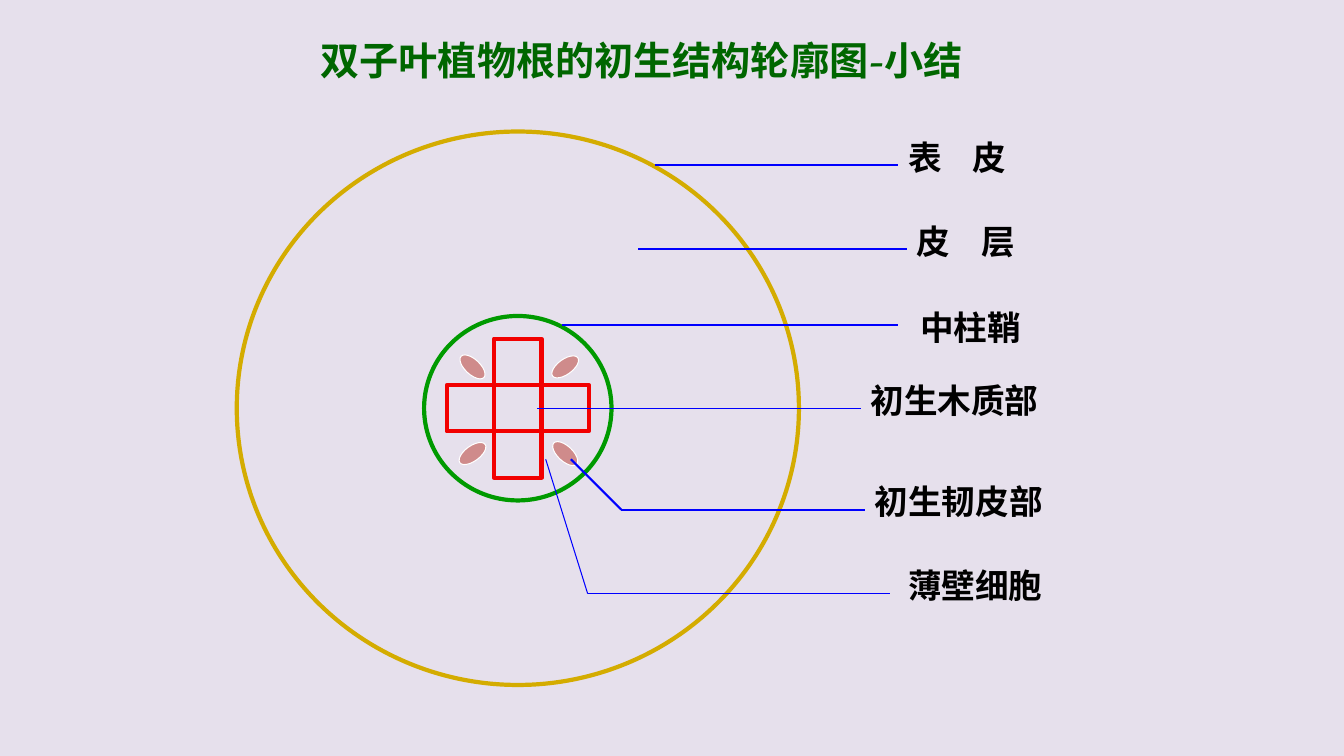
from itertools import pairwise

from lxml import etree
from pptx import Presentation
from pptx.dml.color import RGBColor
from pptx.enum.shapes import MSO_CONNECTOR, MSO_SHAPE
from pptx.enum.text import MSO_ANCHOR, PP_ALIGN
from pptx.oxml.ns import qn
from pptx.util import Inches, Pt

STRAIGHT = MSO_CONNECTOR.STRAIGHT
OVAL, RECTANGLE = MSO_SHAPE.OVAL, MSO_SHAPE.RECTANGLE
CENTER, LEFT = PP_ALIGN.CENTER, PP_ALIGN.LEFT
TOP, MIDDLE = MSO_ANCHOR.TOP, MSO_ANCHOR.MIDDLE

WIDTH, HEIGHT = 13.34, 7.5
BACKGROUND, BLACK, WHITE = "E6E0EC", "000000", "FFFFFF"
TITLE_GREEN, EPIDERMIS_GOLD, PERICYCLE_GREEN = "006600", "D4AC00", "009A00"
XYLEM_RED, PHLOEM_PINK, LEADER_BLUE = "F20000", "CF8B8B", "0000FF"

TITLE = "双子叶植物根的初生结构轮廓图-小结"

GRID = 1 / 12
FIRST_ROW = 1.64
LABEL_RISE = 4
LABELS = [
    {"text": "表\t皮", "column": 107, "width": 23, "points": [(78, 0), (107, 0)], "weight": 1.5},
    {"text": "皮\t层", "column": 108, "width": 23, "points": [(76, 10), (108, 10)], "weight": 1.5},
    {"text": "中柱鞘", "column": 108.4, "width": 22, "points": [(67, 19), (107, 19)],
     "weight": 1.5, "rise": 2.7},
    {"text": "初生木质部", "column": 102.5, "width": 30.5, "points": [(64, 29), (102.5, 29)],
     "weight": 0.75},
    {"text": "初生韧皮部", "column": 103, "width": 33, "points": [(68, 35), (74, 41), (103, 41)],
     "weight": 1.5},
    {"text": "薄壁细胞", "column": 107, "width": 24, "points": [(65, 35), (70, 51), (106, 51)],
     "weight": 0.75},
]
LABEL_HEIGHT = 6
LABEL_TAB = 0.64

ROOT_X, ROOT_Y = 5.14, 4.05
RINGS = [(5.58, 5.49, EPIDERMIS_GOLD), (1.86, 1.83, PERICYCLE_GREEN)]
CELL_WIDTH, CELL_HEIGHT = 0.47, 0.46
XYLEM_ARMS = [(-1, 0), (1, 0), (0, -1), (0, 1)]
PHLOEM_WIDTH, PHLOEM_HEIGHT = 0.15, 0.31
PHLOEM_REACH_X, PHLOEM_REACH_Y = 0.46, 0.43
PHLOEM_CORNERS = [(1, 1), (-1, 1), (1, -1), (-1, -1)]


def color(value):
    return RGBColor.from_string(value)


def add_text(slide, text, left, top, width, height, *, size, font, fill,
             align=LEFT, anchor=TOP, margins=(0.1, 0.05), tab=None, shadow=False):
    box = slide.shapes.add_textbox(Inches(left), Inches(top), Inches(width), Inches(height))
    frame = box.text_frame
    frame.word_wrap = True
    frame.vertical_anchor = anchor
    frame.margin_left = frame.margin_right = Inches(margins[0])
    frame.margin_top = frame.margin_bottom = Inches(margins[1])
    paragraph = frame.paragraphs[0]
    paragraph.alignment = align
    if tab:
        tabs = etree.SubElement(paragraph._p.get_or_add_pPr(), qn("a:tabLst"))
        etree.SubElement(tabs, qn("a:tab"), pos=str(Inches(tab)), algn="l")
    run = paragraph.add_run()
    run.text = text
    run.font.size = Pt(size)
    run.font.name = font
    run.font.bold = True
    run.font.color.rgb = color(fill)
    if shadow:
        effects = etree.Element(qn("a:effectLst"))
        outer = etree.SubElement(effects, qn("a:outerShdw"), dist="38100", dir="2700000")
        etree.SubElement(outer, qn("a:srgbClr"), val=BLACK)
        run.font._element.find(qn("a:solidFill")).addnext(effects)


def add_centered(slide, kind, x, y, width, height, line, weight, fill=None, rotation=0):
    shape = slide.shapes.add_shape(
        kind, Inches(x - width / 2), Inches(y - height / 2), Inches(width), Inches(height))
    shape.shadow.inherit = False
    shape.rotation = rotation
    shape.line.color.rgb = color(line)
    shape.line.width = Pt(weight)
    if fill:
        shape.fill.solid()
        shape.fill.fore_color.rgb = color(fill)
    else:
        shape.fill.background()


def place(column, row):
    return column * GRID, FIRST_ROW + row * GRID


def add_leader(slide, start, end, weight):
    ends = [Inches(length) for point in (start, end) for length in place(*point)]
    connector = slide.shapes.add_connector(STRAIGHT, *ends)
    connector.line.color.rgb = color(LEADER_BLUE)
    connector.line.width = Pt(weight)
    etree.SubElement(connector._element.spPr, qn("a:effectLst"))


def draw_root(slide):
    for width, height, line in RINGS:
        add_centered(slide, OVAL, ROOT_X, ROOT_Y, width, height, line, 3)
    for across, down in XYLEM_ARMS:
        add_centered(slide, RECTANGLE, ROOT_X + across * CELL_WIDTH,
                     ROOT_Y + down * CELL_HEIGHT, CELL_WIDTH, CELL_HEIGHT, XYLEM_RED, 3)
    for across, down in PHLOEM_CORNERS:
        add_centered(slide, OVAL, ROOT_X + 0.01 + across * PHLOEM_REACH_X,
                     ROOT_Y + 0.02 + down * PHLOEM_REACH_Y, PHLOEM_WIDTH, PHLOEM_HEIGHT,
                     WHITE, 0.75, fill=PHLOEM_PINK, rotation=313 if across == down else 54)


def draw_labels(slide):
    for label in LABELS:
        for start, end in pairwise(label["points"]):
            add_leader(slide, start, end, label["weight"])
        row = label["points"][-1][1] - label.get("rise", LABEL_RISE)
        left, top = place(label["column"], row)
        add_text(slide, label["text"], left, top, label["width"] * GRID, LABEL_HEIGHT * GRID,
                 size=24, font="Arial", fill=BLACK,
                 tab=LABEL_TAB if "\t" in label["text"] else None)


def main():
    presentation = Presentation()
    presentation.slide_width, presentation.slide_height = Inches(WIDTH), Inches(HEIGHT)
    slide = presentation.slides.add_slide(presentation.slide_layouts[6])
    slide.background.fill.solid()
    slide.background.fill.fore_color.rgb = color(BACKGROUND)
    add_text(slide, TITLE, 2.58, 0.33, 7.58, 0.53, size=28, font="Vollkorn", fill=TITLE_GREEN,
             align=CENTER, anchor=MIDDLE, margins=(0.08, 0.03), shadow=True)
    draw_root(slide)
    draw_labels(slide)
    presentation.save("out.pptx")


if __name__ == "__main__":
    main()
